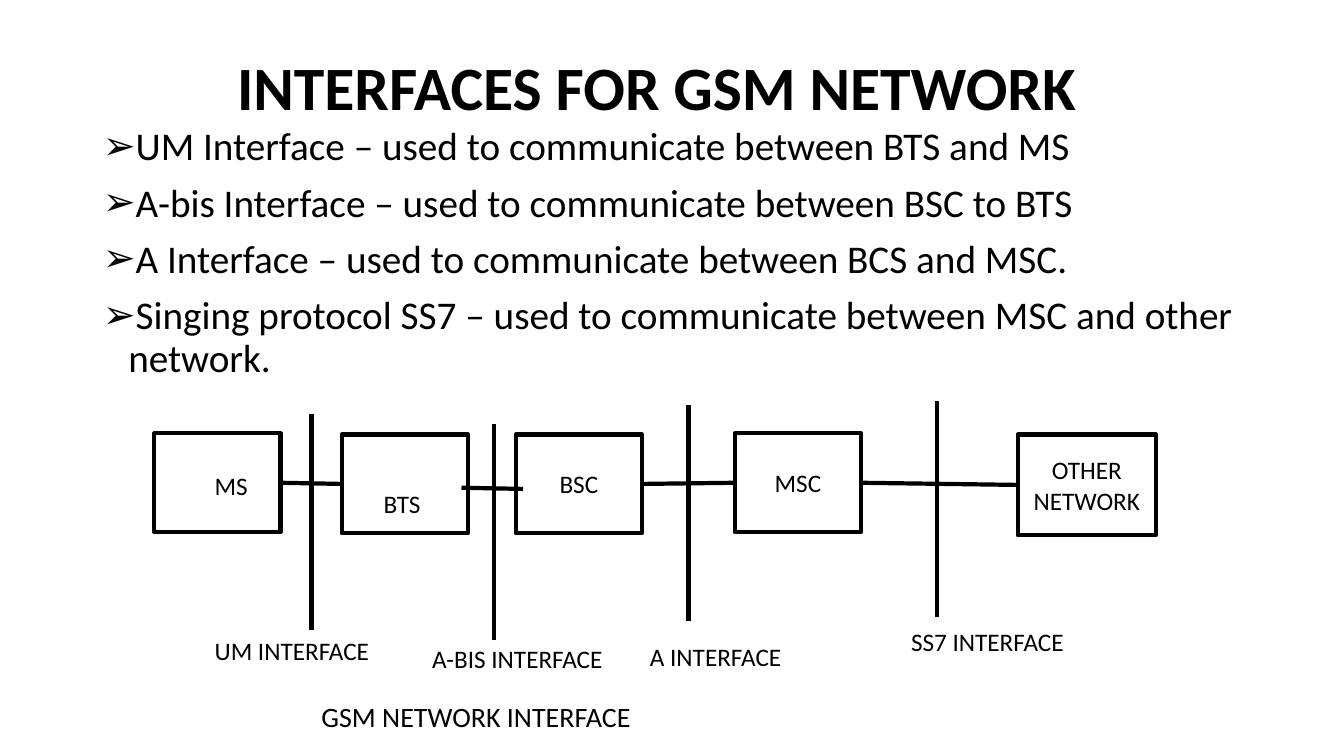
from dataclasses import dataclass

from lxml import etree
from pptx import Presentation
from pptx.dml.color import RGBColor
from pptx.enum.shapes import MSO_CONNECTOR, MSO_SHAPE
from pptx.enum.text import MSO_ANCHOR, MSO_AUTO_SIZE, PP_ALIGN
from pptx.oxml.ns import qn
from pptx.util import Cm, Pt

RECT = MSO_SHAPE.RECTANGLE
LINE = MSO_CONNECTOR.STRAIGHT
LEFT, MID = PP_ALIGN.LEFT, PP_ALIGN.CENTER
CENTER, TOP = MSO_ANCHOR.MIDDLE, MSO_ANCHOR.TOP
FIXED, GROW = MSO_AUTO_SIZE.NONE, MSO_AUTO_SIZE.SHAPE_TO_FIT_TEXT
WEST, EAST = 1, 3


@dataclass
class Theme:
    font: str = "Calibri"
    ink: RGBColor = RGBColor(0, 0, 0)
    paper: RGBColor = RGBColor(255, 255, 255)
    title: int = 44
    body: int = 28
    label: int = 18
    note: int = 20
    line: int = 3


class Board:
    """Draws the elements of one slide in one style. Lengths are in cm."""

    def __init__(self, deck, theme):
        self.theme = theme
        self.slide = deck.slides.add_slide(deck.slide_layouts[1])
        fill = self.slide.background.fill
        fill.solid()
        fill.fore_color.rgb = theme.paper

    def add_text(self, para, text, size, bold=False):
        run = para.add_run()
        run.text = text
        font = run.font
        font.name, font.size, font.bold = self.theme.font, Pt(size), bold
        font.color.rgb = self.theme.ink

    def fill_text(self, frame, lines, size, align=LEFT, bold=False):
        for i, text in enumerate(lines):
            para = frame.add_paragraph() if i else frame.paragraphs[0]
            para.alignment = align
            self.add_text(para, text, size, bold)

    def place(self, holder, area, anchor):
        holder.left, holder.top, holder.width, holder.height = map(Cm, area)
        frame = holder.text_frame
        frame.auto_size, frame.vertical_anchor = FIXED, anchor
        return frame

    def title(self, text, area):
        frame = self.place(self.slide.shapes.title, area, CENTER)
        self.fill_text(frame, [text], self.theme.title, MID, True)
        frame.paragraphs[0].line_spacing = 0.9

    def bullets(self, lines, area):
        frame = self.place(self.slide.placeholders[1], area, TOP)
        self.fill_text(frame, lines, self.theme.body)
        for para in frame.paragraphs:
            para.line_spacing, para.space_before = 0.9, Pt(10)
            props = para._p.get_or_add_pPr()
            props.set("marL", str(Cm(0.64)))
            props.set("indent", str(Cm(-0.64)))
            etree.SubElement(props, qn("a:buFont")).set("typeface", "Arial")
            etree.SubElement(props, qn("a:buChar")).set("char", "➢")

    def label(self, text, x, y, wide, high=1.02, size=None, wrap=False):
        box = self.slide.shapes.add_textbox(Cm(x), Cm(y), Cm(wide), Cm(high))
        frame = box.text_frame
        frame.word_wrap, frame.auto_size = wrap, GROW
        self.fill_text(frame, [text], size or self.theme.label)

    def node(self, lines, x, y, wide=3.18, high=2.49):
        box = self.slide.shapes.add_shape(RECT, Cm(x), Cm(y), Cm(wide), Cm(high))
        box.shadow.inherit = False
        box.fill.background()
        self.stroke(box.line)
        box.text_frame.word_wrap = True
        box.text_frame.vertical_anchor = CENTER
        self.fill_text(box.text_frame, lines, self.theme.label, MID)
        return box

    def stroke(self, line):
        line.color.rgb = self.theme.ink
        line.width = Pt(self.theme.line)

    def line(self, x1, y1, x2, y2):
        link = self.slide.shapes.add_connector(LINE, Cm(x1), Cm(y1), Cm(x2), Cm(y2))
        self.stroke(link.line)
        etree.SubElement(link._element.spPr, qn("a:effectLst"))
        return link

    def join(self, start, end):
        link = self.line(0, 0, 1, 1)
        link.begin_connect(start, EAST)
        link.end_connect(end, WEST)


def main():
    deck = Presentation()
    deck.slide_width, deck.slide_height = Cm(33.87), Cm(19.05)
    theme = Theme()
    board = Board(deck, theme)

    # Title and list
    board.title("INTERFACES FOR GSM NETWORK", (1.57, 1.02, 29.97, 2.54))
    board.bullets([
        "UM Interface – used to communicate between BTS and MS",
        "A-bis Interface – used to communicate between BSC to BTS",
        "A Interface – used to communicate between BCS and MSC.",
        "Singing protocol SS7 – used to communicate between MSC and other network.",
    ], (2.34, 3.07, 29.21, 14.1))

    # Network nodes; the first two have their names set off centre
    ms = board.node([], 3.89, 10.92)
    bts = board.node([], 8.61, 10.95)
    bsc = board.node(["BSC"], 13, 10.95)
    msc = board.node(["MSC"], 18.52, 10.92)
    other = board.node(["OTHER", "NETWORK"], 25.65, 10.95, 3.48, 2.54)
    board.label("MS", 5.16, 11.73, 1.35)
    board.label("BTS", 9.42, 12.17, 1.45)

    # Links; the one from BTS to BSC runs past both sides
    for start, end in ((ms, bts), (bsc, msc), (msc, other)):
        board.join(start, end)
    board.line(11.63, 12.29, 13.18, 12.32)

    # Interface bars: name, bar x and top, label x, top and width
    bar = 5.44
    for name, x, top, left, y, wide in (
        ("UM INTERFACE", 7.85, 10.44, 5.16, 15.88, 4.45),
        ("A-BIS INTERFACE", 12.45, 10.69, 10.64, 16.08, 4.85),
        ("A INTERFACE", 17.35, 10.21, 16.13, 16.03, 3.86),
        ("SS7 INTERFACE", 23.62, 10.11, 22.71, 15.67, 4.39),
    ):
        board.line(x, top, x, top + bar)
        board.label(name, left, y, wide)

    # Caption
    board.label("GSM NETWORK INTERFACE", 7.85, 17.5, 9.6, 1.12, theme.note, True)

    deck.save("out.pptx")


if __name__ == "__main__":
    main()
